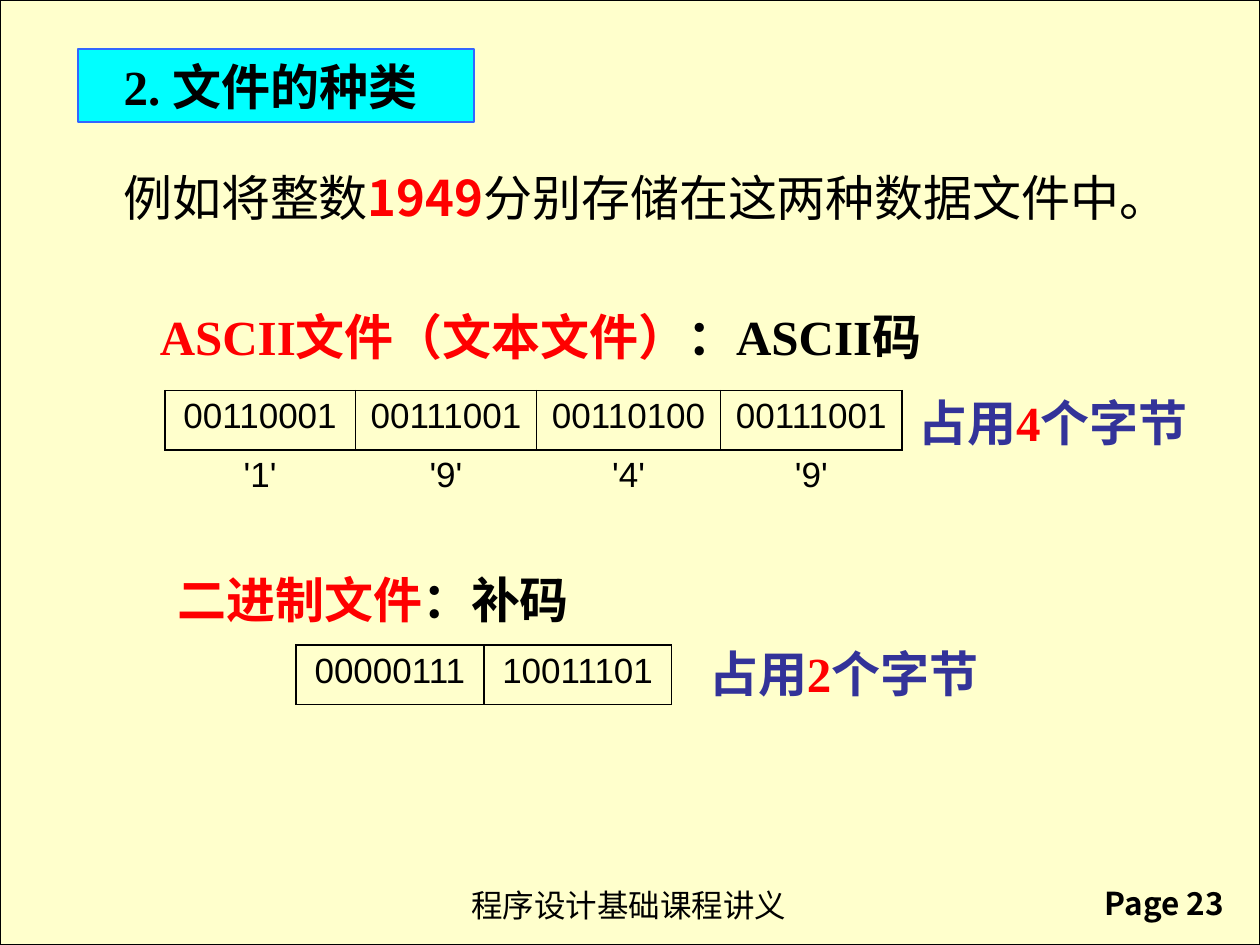
from lxml.etree import SubElement
from pptx import Presentation
from pptx.dml.color import RGBColor
from pptx.enum.shapes import MSO_SHAPE
from pptx.enum.text import MSO_ANCHOR, PP_ALIGN
from pptx.oxml.ns import qn
from pptx.util import Inches, Pt

COLORS = {
    "page": "FFFFCC",
    "ink": "000000",
    "accent": "FF0000",
    "note": "333399",
    "heading": "00FFFF",
    "frame": "3366FF",
}
CJK = "Noto Sans CJK SC"
SERIF = "Times New Roman"
SANS = "Arial"


def rgb(color):
    return RGBColor.from_string(COLORS[color])


def apply_format(target, values):
    for attribute, value in values.items():
        setattr(target, attribute, value)


def write_runs(frame, runs, face, size=28, bold=True, align=PP_ALIGN.LEFT):
    paragraph = frame.paragraphs[0]
    paragraph.alignment = align
    for words, color, *weight in runs:
        run = paragraph.add_run()
        run.text = words
        apply_format(run.font, {
            "name": face,
            "size": Pt(size),
            "bold": weight[0] if weight else bold,
        })
        run.font.color.rgb = rgb(color)
        SubElement(run.font._element, qn("a:ea")).set("typeface", CJK)
    return paragraph


def add_text(slide, box, runs, face, wrap=True, **style):
    label = slide.shapes.add_textbox(*map(Inches, box))
    label.text_frame.word_wrap = wrap
    return write_runs(label.text_frame, runs, face, **style)


def add_panel(slide, box, fill, line, width):
    panel = slide.shapes.add_shape(MSO_SHAPE.RECTANGLE, *map(Inches, box))
    panel.shadow.inherit = False
    panel.fill.solid()
    panel.fill.fore_color.rgb = rgb(fill)
    panel.line.color.rgb = rgb(line)
    panel.line.width = Pt(width)
    return panel


def set_borders(cell, visible):
    properties = cell._tc.get_or_add_tcPr()
    for position, side in enumerate(("lnL", "lnR", "lnT", "lnB")):
        border = properties.makeelement(qn(f"a:{side}"), {"w": str(Pt(1))})
        properties.insert(position, border)
        if side in visible:
            fill = SubElement(border, qn("a:solidFill"))
            SubElement(fill, qn("a:srgbClr")).set("val", COLORS["ink"])
        else:
            SubElement(border, qn("a:noFill"))


def add_bytes(slide, left, top, widths, heights, rows):
    box = (left, top, sum(widths), sum(heights))
    table = slide.shapes.add_table(
        len(rows), len(widths), *map(Inches, box)).table
    apply_format(table, {"first_row": False, "horz_banding": False})
    for column, width in zip(table.columns, widths):
        column.width = Inches(width)
    for row, height, values in zip(table.rows, heights, rows):
        row.height = Inches(height)
        for cell, value in zip(row.cells, values):
            cell.fill.background()
            write_runs(cell.text_frame, [(value, "ink")], SANS,
                       size=20, bold=False, align=PP_ALIGN.CENTER)
            is_bits = values is rows[0]
            set_borders(cell, ("lnL", "lnR", "lnT", "lnB") if is_bits else ("lnT",))


def add_byte_count(slide, box, count):
    add_text(slide, box,
             [("占用", "note"), (count, "accent"), ("个字节", "note")], SERIF)


def main():
    deck = Presentation()
    apply_format(deck, {"slide_width": Inches(10), "slide_height": Inches(7.5)})
    slide = deck.slides.add_slide(deck.slide_layouts[6])

    add_panel(slide, (0, 0, 10, 7.5), "page", "ink", 0.75)
    add_text(slide, (3.64, 6.98, 2.73, 0.4), [("程序设计基础课程讲义", "ink")],
             SANS, wrap=False, size=18, bold=False)
    add_text(slide, (8.67, 6.97, 1.28, 0.4), [("Page 23", "ink")],
             CJK, wrap=False, size=18)

    heading = add_panel(slide, (0.62, 0.39, 3.14, 0.58), "heading", "frame", 1)
    heading.text_frame.vertical_anchor = MSO_ANCHOR.MIDDLE
    write_runs(heading.text_frame, [("2. 文件的种类 ", "ink")], SERIF,
               align=PP_ALIGN.CENTER)

    example = add_text(
        slide, (0.88, 1.28, 8.51, 0.61),
        [("例如将整数", "ink"), ("1949", "accent", True),
         ("分别存储在这两种数据文件中。", "ink")],
        CJK, bold=False, align=PP_ALIGN.JUSTIFY)
    indent = Inches(0.38)
    example_properties = example._p.get_or_add_pPr()
    example_properties.set("marL", str(indent))
    example_properties.set("indent", str(-indent))

    add_text(slide, (1.17, 2.38, 6.66, 0.57),
             [("ASCII文件（文本文件）", "accent"), ("：ASCII码", "ink")], SERIF)
    add_bytes(slide, 1.31, 3.1, (1.51, 1.44, 1.46, 1.44), (0.47, 0.43),
              [("00110001", "00111001", "00110100", "00111001"),
               ("'1'", "'9'", "'4'", "'9'")])
    add_byte_count(slide, (7.19, 3.07, 2.56, 0.57), "4")

    add_text(slide, (1.31, 4.47, 3.62, 0.57),
             [("二进制文件", "accent"), ("：补码", "ink")], SERIF)
    add_bytes(slide, 2.35, 5.12, (1.49, 1.49), (0.47,),
              [("00000111", "10011101")])
    add_byte_count(slide, (5.53, 5.06, 2.54, 0.57), "2")

    deck.save("out.pptx")


if __name__ == "__main__":
    main()
